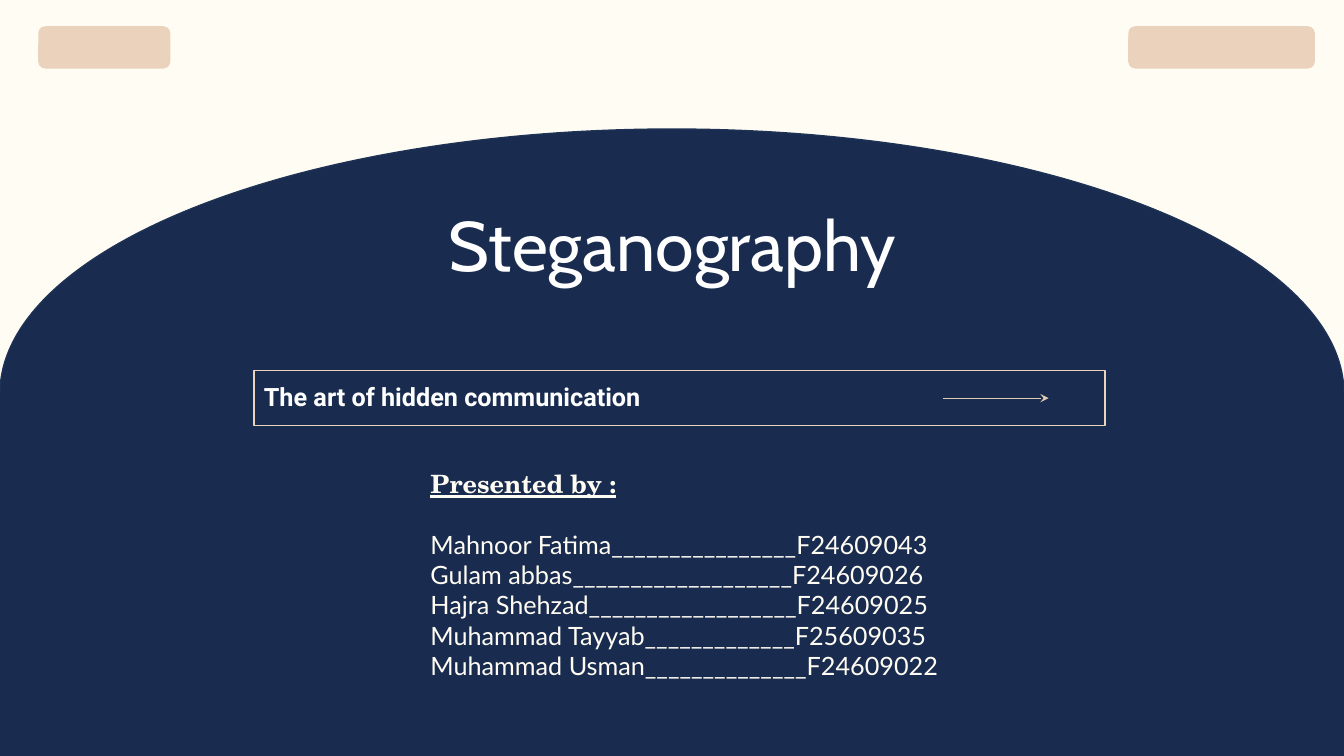
from dataclasses import dataclass

from lxml.etree import SubElement
from pptx import Presentation
from pptx.dml.color import RGBColor
from pptx.enum.shapes import MSO_CONNECTOR as Connector, MSO_SHAPE as Preset
from pptx.enum.text import MSO_ANCHOR as Anchor, MSO_AUTO_SIZE as AutoSize, PP_ALIGN as Align
from pptx.oxml.ns import qn
from pptx.util import Inches, Pt

SLIDE_WIDTH, SLIDE_HEIGHT = Inches(13.33), Inches(7.5)
COLUMNS = ROWS = 100


@dataclass(frozen=True)
class Theme:
    cream: str = "FFFCF3"
    navy: str = "192C4F"
    navy_edge: str = "1E3256"
    sand: str = "EAD2BC"
    arrow: str = "DFCCB3"
    white: str = "FFFFFF"
    title_font: str = "Cabin"
    banner_font: str = "Roboto"
    heading_font: str = "TeX Gyre Schola"
    list_font: str = "Lato"
    title_size: float = 50
    text_size: float = 18
    line_gap: float = 21.6
    thin: float = 0.75
    edge: float = 1


@dataclass(frozen=True)
class Box:
    column: float
    row: float
    columns: float
    rows: float

    def inner(self, column, row, columns, rows):
        return Box(self.column + column, self.row + row, columns, rows)

    def place(self):
        return (across(self.column), down(self.row), across(self.columns), down(self.rows))


THEME = Theme()


def across(columns):
    return round(SLIDE_WIDTH * columns / COLUMNS)


def down(rows):
    return round(SLIDE_HEIGHT * rows / ROWS)


def color(value):
    return RGBColor.from_string(value)


def add_block(shapes, preset, box, fill, line=None, width=THEME.thin):
    shape = shapes.add_shape(preset, *box.place())
    shape.shadow.inherit = False
    shape.fill.solid()
    shape.fill.fore_color.rgb = color(fill)
    if line:
        shape.line.color.rgb = color(line)
        shape.line.width = Pt(width)
    else:
        shape.line.fill.background()


def write(paragraph, text, font, size=THEME.text_size, fill=THEME.white, bold=False,
          underline=False, align=Align.LEFT, after=0):
    paragraph.alignment = align
    paragraph.space_before = Pt(0)
    paragraph.space_after = Pt(after)
    run = paragraph.add_run()
    run.text = text
    run.font.name = font
    run.font.size = Pt(size)
    run.font.color.rgb = color(fill)
    run.font.bold = bold
    run.font.underline = underline


def place_placeholder(placeholder, box, anchor):
    placeholder.left, placeholder.top, placeholder.width, placeholder.height = box.place()
    placeholder.element.getparent().append(placeholder.element)
    frame = placeholder.text_frame
    frame.auto_size = AutoSize.NONE
    frame.word_wrap = True
    frame.vertical_anchor = anchor
    return frame


def add_dome(slide, box):
    group = slide.shapes.add_group_shape()
    add_block(group.shapes, Preset.FLOWCHART_CONNECTOR, box.inner(0, 0, box.columns, 70),
              THEME.navy, THEME.navy_edge, THEME.edge)
    add_block(group.shapes, Preset.RECTANGLE,
              box.inner(0, 34.66, box.columns, box.rows - 34.66), THEME.navy)


def add_tags(slide, box):
    for column, columns in ((0, 9.83), (box.columns - 13.88, 13.88)):
        add_block(slide.shapes, Preset.ROUNDED_RECTANGLE,
                  box.inner(column, 0, columns, box.rows), THEME.sand)


def add_title(slide, box):
    frame = place_placeholder(slide.shapes.title, box, Anchor.BOTTOM)
    frame.margin_top = frame.margin_bottom = Inches(0.1)
    write(frame.paragraphs[0], "Steganography", THEME.title_font, size=THEME.title_size,
          align=Align.CENTER)


def add_arrow(slide, start, end, row):
    arrow = slide.shapes.add_connector(Connector.STRAIGHT, across(start), down(row),
                                       across(end), down(row))
    arrow.line.color.rgb = color(THEME.arrow)
    arrow.line.width = Pt(THEME.thin)
    properties = arrow.element.spPr
    SubElement(properties.find(qn("a:ln")), qn("a:tailEnd"), type="stealth")
    SubElement(properties, qn("a:effectLst"))


def add_banner(slide, box):
    add_block(slide.shapes, Preset.RECTANGLE, box, THEME.navy, THEME.sand)
    add_arrow(slide, box.column + 51.24, box.column + 59.12, box.row + box.rows / 2)
    text_box = slide.shapes.add_textbox(*box.inner(0, 0.67, 40.66, 5.33).place())
    text_box.text_frame.word_wrap = True
    write(text_box.text_frame.paragraphs[0], "The art of hidden communication",
          THEME.banner_font, bold=True)


def add_presenters(slide, box):
    frame = place_placeholder(slide.placeholders[1], box, Anchor.TOP)
    write(frame.paragraphs[0], "Presented by :", THEME.heading_font, fill=THEME.cream,
          bold=True, underline=True, after=THEME.line_gap)
    for presenter in (
        "Mahnoor Fatima________________F24609043",
        "Gulam abbas___________________F24609026",
        "Hajra Shehzad__________________F24609025",
        "Muhammad Tayyab_____________F25609035",
        "Muhammad Usman______________F24609022",
    ):
        write(frame.add_paragraph(), presenter, THEME.list_font, fill=THEME.cream)


def add_cover(presentation):
    slide = presentation.slides.add_slide(presentation.slide_layouts[0])
    slide.background.fill.solid()
    slide.background.fill.fore_color.rgb = color(THEME.cream)
    add_dome(slide, Box(0, 17.07, COLUMNS, ROWS - 17.07))
    add_tags(slide, Box(2.85, 3.47, 94.98, 5.6))
    add_title(slide, Box(25.96, 24.67, 48.16, 14.4))
    add_banner(slide, Box(18.9, 49.07, 63.32, 7.2))
    add_presenters(slide, Box(31.28, 61.33, 47.26, 29.6))


def main():
    presentation = Presentation()
    presentation.slide_width = SLIDE_WIDTH
    presentation.slide_height = SLIDE_HEIGHT
    add_cover(presentation)
    presentation.save("out.pptx")


if __name__ == "__main__":
    main()
